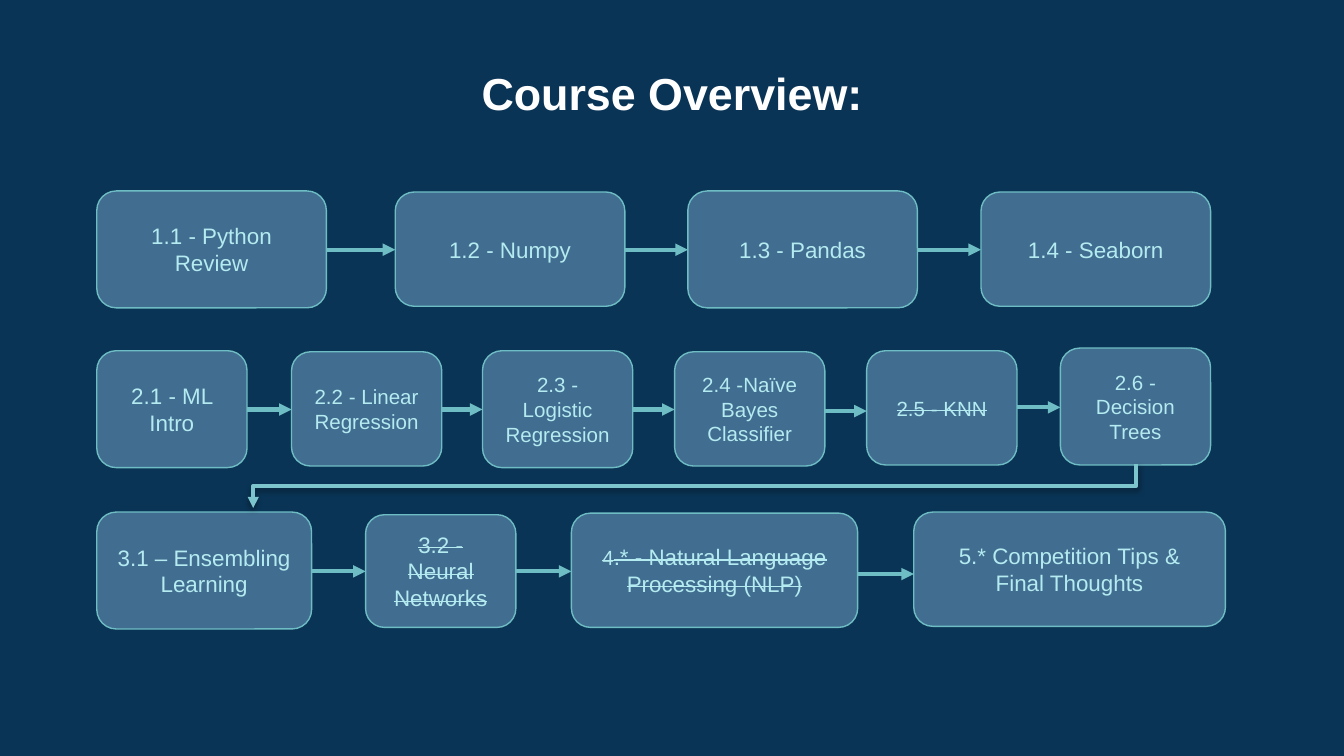
import lxml.etree
import pptx
import pptx.dml.color
import pptx.enum.shapes
import pptx.enum.text
import pptx.oxml.ns
import pptx.util

Cm, Pt = pptx.util.Cm, pptx.util.Pt
qn = pptx.oxml.ns.qn
CONNECTOR = pptx.enum.shapes.MSO_CONNECTOR
ANCHOR = pptx.enum.text.MSO_ANCHOR

FRAME = {"word_wrap": True, "auto_size": pptx.enum.text.MSO_AUTO_SIZE.NONE}
FRAME.update({f"margin_{side}": Cm(0.25) for side in ("left", "top", "right", "bottom")})

# Each step: runs, struck, left, top, width, height, height of the arrow to the next step
ROWS = [
    [
        ([("1.1 - Python Review", 12)], False, 1.83, 3.61, 4.34, 2.21, 4.72),
        ([("1.2 - Numpy", 12)], False, 7.47, 3.63, 4.34, 2.16, 4.72),
        ([("1.3 - Pandas", 12)], False, 13, 3.61, 4.34, 2.21, 4.72),
        ([("1.4 - Seaborn", 12)], False, 18.54, 3.63, 4.34, 2.16, None),
    ],
    [
        ([("2.1 - ML Intro", 12)], False, 1.83, 6.63, 2.84, 2.21, 7.74),
        ([("2.2 - Linear Regression", 11)], False, 5.51, 6.65, 2.84, 2.16, 7.74),
        ([("2.3 - Logistic Regression", 11)], False, 9.12, 6.63, 2.84, 2.21, 7.74),
        ([("2.4 -Naïve Bayes Classifier", 11)], False, 12.75, 6.65, 2.84, 2.16, 7.77),
        ([("2.5 - KNN", 11)], True, 16.38, 6.63, 2.84, 2.16, 7.7),
        ([("2.6 - Decision Trees", 11)], False, 20.04, 6.58, 2.84, 2.21, None),
    ],
    [
        ([("3.1 – Ensembling Learning", 12)], False, 1.83, 9.68, 4.06, 2.21, 10.8),
        ([("3.2 - Neural Networks", 12)], True, 6.91, 9.73, 2.84, 2.13, 10.8),
        ([("4", 11), (".* - Natural Language Processing (NLP)", 12)],
         True, 10.8, 9.7, 5.41, 2.16, 10.85),
        ([("5.* Competition Tips & Final Thoughts", 12)],
         False, 17.27, 9.68, 5.89, 2.16, None),
    ],
]


def rgb(value):
    """Turn a hex string into a colour."""
    return pptx.dml.color.RGBColor.from_string(value)


def apply(target, values):
    """Set every attribute in a dict on the target."""
    for name, value in values.items():
        setattr(target, name, value)


def write(sp, runs, color, anchor, bold=False, struck=False):
    """Write one centred paragraph of (text, size) runs into a shape."""
    tf = sp.text_frame
    apply(tf, {**FRAME, "vertical_anchor": anchor})
    p = tf.paragraphs[0]
    p.alignment = pptx.enum.text.PP_ALIGN.CENTER
    for text, size in runs:
        r = p.add_run()
        r.text = text
        apply(r.font, {"name": "Arial", "size": Pt(size), "bold": bold})
        r.font.color.rgb = rgb(color)
        if struck:
            r._r.get_or_add_rPr().set("strike", "sngStrike")


def add_title(s, text):
    """Place and format the title."""
    sp = s.shapes.title
    apply(sp, {"left": Cm(4.57), "top": Cm(0.99), "width": Cm(16.26), "height": Cm(2.62)})
    write(sp, [(text, 24)], "FFFFFF", ANCHOR.TOP, bold=True)


def add_step(s, runs, struck, left, top, width, height):
    """Add one rounded course step."""
    sp = s.shapes.add_shape(
        pptx.enum.shapes.MSO_SHAPE.FLOWCHART_ALTERNATE_PROCESS,
        Cm(left), Cm(top), Cm(width), Cm(height))
    sp.shadow.inherit = False
    sp.fill.solid()
    sp.fill.fore_color.rgb = rgb("416D90")
    sp.line.color.rgb = rgb("6EBDC4")
    sp.line.width = Pt(0.75)
    write(sp, runs, "B4EBF0", ANCHOR.MIDDLE, struck=struck)


def add_arrow(s, kind, start, end, color, width):
    """Add an arrow and return it with its empty effect list."""
    sp = s.shapes.add_connector(kind, *map(Cm, start + end))
    sp.line.color.rgb = rgb(color)
    sp.line.width = Pt(width)
    lxml.etree.SubElement(sp.line._get_or_add_ln(), qn("a:tailEnd"), type="triangle")
    return sp, lxml.etree.SubElement(sp._element.spPr, qn("a:effectLst"))


def add_return_arrow(s):
    """Add the shadowed bent arrow from the second row to the third."""
    sp, effects = add_arrow(
        s, CONNECTOR.ELBOW, (12.71, 0.84), (13.55, 17.53), "7CC5CC", 2)
    sp._element.spPr.find(qn("a:xfrm")).set("rot", "5400000")
    shadow = lxml.etree.SubElement(
        effects, qn("a:outerShdw"), blurRad="40000", dist="20000",
        dir="5400000", rotWithShape="0")
    color = lxml.etree.SubElement(shadow, qn("a:srgbClr"), val="000000")
    lxml.etree.SubElement(color, qn("a:alpha"), val="38000")


def add_row(s, steps):
    """Add a row of steps with an arrow from each to the next."""
    for step in steps:
        add_step(s, *step[:-1])
    for step, following in zip(steps, steps[1:]):
        _, _, left, _, width, _, y = step
        add_arrow(s, CONNECTOR.STRAIGHT, (left + width, y), (following[2], y),
                  "6EBDC4", 2.25)


def main():
    """Build and save the slide."""
    prs = pptx.Presentation()
    apply(prs, {"slide_width": Cm(25.4), "slide_height": Cm(14.29)})
    s = prs.slides.add_slide(prs.slide_layouts[0])
    s.background.fill.solid()
    s.background.fill.fore_color.rgb = rgb("0A3455")
    subtitle = s.placeholders[1]._element
    subtitle.getparent().remove(subtitle)
    add_title(s, "Course Overview:")
    for steps in ROWS:
        add_row(s, steps)
    add_return_arrow(s)
    prs.save("out.pptx")


if __name__ == "__main__":
    main()
